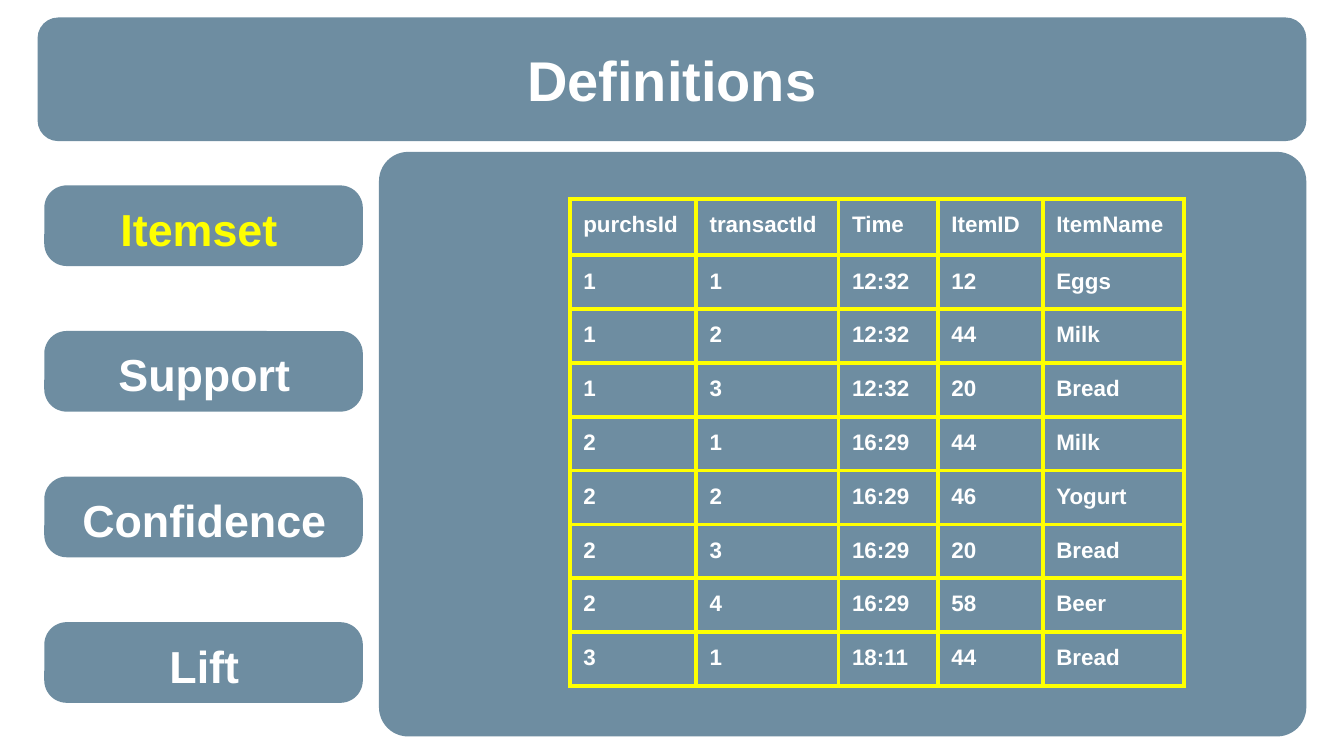
from dataclasses import dataclass

import lxml.etree
import pptx
import pptx.dml.color
import pptx.enum.shapes
import pptx.enum.text
import pptx.oxml.ns
import pptx.util
from pptx.util import Inches


@dataclass(frozen=True)
class Theme:
    font: str = "Arial"
    panel: str = "215170"
    panel_opacity: int = 65
    text: str = "FFFFFF"
    accent: str = "FFFF00"
    title_size: int = 30
    label_size: int = 24
    table_size: int = 12
    border_width: float = 2.25
    inset: float = 0.1


THEME = Theme()
SLIDE_WIDTH = 10
TERMS = ["Itemset", "Support", "Confidence", "Lift"]
CURRENT_TERM = "Itemset"
COLUMN_WIDTHS = [0.94, 1.06, 0.74, 0.78, 1.05]
# Body rows grow to fit their text.
HEADER_HEIGHT, MINIMUM_ROW_HEIGHT = 0.42, 0.2
PURCHASES = [
    ["purchsId", "transactId", "Time", "ItemID", "ItemName"],
    ["1", "1", "12:32", "12", "Eggs"],
    ["1", "2", "12:32", "44", "Milk"],
    ["1", "3", "12:32", "20", "Bread"],
    ["2", "1", "16:29", "44", "Milk"],
    ["2", "2", "16:29", "46", "Yogurt"],
    ["2", "3", "16:29", "20", "Bread"],
    ["2", "4", "16:29", "58", "Beer"],
    ["3", "1", "18:11", "44", "Bread"],
]


def rgb(color):
    return pptx.dml.color.RGBColor.from_string(color)


def style_paragraph(paragraph, size, color):
    font = paragraph.font
    font.name, font.size, font.bold = THEME.font, pptx.util.Pt(size), True
    font.color.rgb = rgb(color)


def set_margins(target):
    """Apply the common inset to a text frame or a table cell."""
    target.margin_left = target.margin_right = Inches(THEME.inset)
    target.margin_top = target.margin_bottom = Inches(THEME.inset)


def add_panel(slide, left, top, width, height, corner):
    """Add a translucent rounded panel; corner is the rounding ratio."""
    panel = slide.shapes.add_shape(
        pptx.enum.shapes.MSO_SHAPE.ROUNDED_RECTANGLE,
        Inches(left), Inches(top), Inches(width), Inches(height))
    panel.adjustments[0] = corner
    panel.shadow.inherit = False
    panel.line.fill.background()
    panel.fill.solid()
    panel.fill.fore_color.rgb = rgb(THEME.panel)
    color = panel.fill._xPr.find(".//" + pptx.oxml.ns.qn("a:srgbClr"))
    lxml.etree.SubElement(color, pptx.oxml.ns.qn("a:alpha"),
                          val=str(THEME.panel_opacity * 1000))


def add_label(slide, left, top, width, height, text, size, color,
              anchor=pptx.enum.text.MSO_ANCHOR.TOP):
    box = slide.shapes.add_textbox(
        Inches(left), Inches(top), Inches(width), Inches(height))
    frame = box.text_frame
    frame.word_wrap = True
    frame.vertical_anchor = anchor
    set_margins(frame)
    paragraph = frame.paragraphs[0]
    paragraph.text = text
    paragraph.alignment = pptx.enum.text.PP_ALIGN.CENTER
    style_paragraph(paragraph, size, color)


def add_title_banner(slide, left, top, width, height):
    add_panel(slide, left, top, width, height, 0.167)
    add_label(slide, left + 0.05, top + 0.16, width - 0.1, 0.6, "Definitions",
              THEME.title_size, THEME.text, pptx.enum.text.MSO_ANCHOR.MIDDLE)


def add_term_menu(slide, left, top, width, height):
    """Spread one pill per term evenly from the top to the bottom of the box."""
    pill_height = 0.6
    pitch = (height - pill_height) / (len(TERMS) - 1)
    for index, term in enumerate(TERMS):
        pill_top = top + index * pitch
        current = term == CURRENT_TERM
        add_panel(slide, left, pill_top, width, pill_height, 0.278)
        add_label(slide, left + 0.04, pill_top + 0.02,
                  width - (0.15 if current else 0.07), pill_height, term,
                  THEME.label_size, THEME.accent if current else THEME.text)


def set_borders(cell):
    properties = cell._tc.get_or_add_tcPr()
    for index, side in enumerate(("a:lnL", "a:lnR", "a:lnT", "a:lnB")):
        line = lxml.etree.Element(pptx.oxml.ns.qn(side),
                                  w=str(pptx.util.Pt(THEME.border_width)))
        fill = lxml.etree.SubElement(line, pptx.oxml.ns.qn("a:solidFill"))
        lxml.etree.SubElement(fill, pptx.oxml.ns.qn("a:srgbClr"),
                              val=THEME.accent)
        properties.insert(index, line)


def add_purchase_table(slide, left, top, height):
    row_heights = [HEADER_HEIGHT] + [MINIMUM_ROW_HEIGHT] * (len(PURCHASES) - 1)
    table_frame = slide.shapes.add_table(
        len(PURCHASES), len(COLUMN_WIDTHS), Inches(left), Inches(top),
        Inches(sum(COLUMN_WIDTHS)), Inches(height))
    table = table_frame.table
    table.first_row = table.horz_banding = False
    for column, width in zip(table.columns, COLUMN_WIDTHS):
        column.width = Inches(width)
    for row, row_height, values in zip(table.rows, row_heights, PURCHASES):
        row.height = Inches(row_height)
        for cell, value in zip(row.cells, values):
            cell.text = value
            cell.fill.background()
            set_margins(cell)
            set_borders(cell)
            style_paragraph(cell.text_frame.paragraphs[0],
                            THEME.table_size, THEME.text)
    table_frame.height = Inches(height)


def add_content_panel(slide, left, top, width, height):
    add_panel(slide, left, top, width, height, 0.05)
    add_purchase_table(slide, left + 1.42, top + 0.35, 3.28)


def main():
    presentation = pptx.Presentation()
    presentation.slide_width = Inches(SLIDE_WIDTH)
    presentation.slide_height = Inches(SLIDE_WIDTH * 9 / 16)
    slide = presentation.slides.add_slide(presentation.slide_layouts[6])
    add_title_banner(slide, 0.28, 0.13, 9.44, 0.92)
    add_content_panel(slide, 2.82, 1.13, 6.9, 4.35)
    add_term_menu(slide, 0.33, 1.38, 2.37, 3.85)
    presentation.save("out.pptx")


if __name__ == "__main__":
    main()
